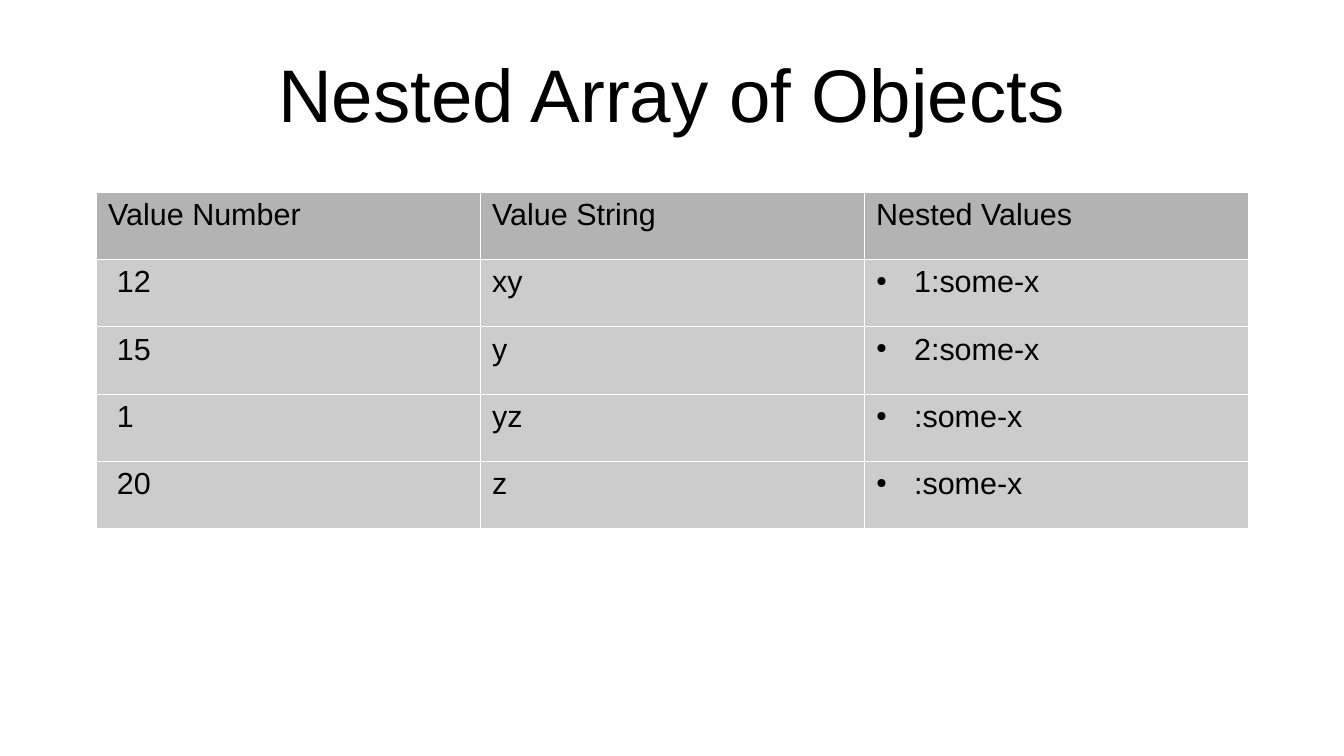
from lxml.etree import SubElement
from pptx import Presentation
from pptx.dml.color import RGBColor
from pptx.enum.text import MSO_ANCHOR, PP_ALIGN
from pptx.oxml.ns import qn
from pptx.util import Cm, Pt

TITLE = "Nested Array of Objects"
HEADERS = ("Value Number", "Value String", "Nested Values")
ROWS = [
    ("12", "xy", "1:some-x"),
    ("15", "y", "2:some-x"),
    ("1", "yz", ":some-x"),
    ("20", "z", ":some-x"),
]
COLORS = {"text": "000000", "header": "B3B3B3", "body": "CCCCCC", "border": "FFFFFF"}
FONT = "Arial"
NUMBER_INDENT, BULLET_INDENT = Cm(0.18), Cm(0.79)
NUMBER_COLUMN, NESTED_COLUMN = 0, 2

SLIDE_W, SLIDE_H = 28, 15.75
TITLE_W, TITLE_TOP, TITLE_H = 25.2, 0.63, 2.62
TABLE_W, TABLE_TOP, ROW_H = 24, 4, 1.4


def style_font(paragraph, size):
    font = paragraph.font
    font.name, font.size = FONT, Pt(size)
    font.color.rgb = RGBColor.from_string(COLORS["text"])


def add_bullet(paragraph):
    properties = paragraph._p.get_or_add_pPr()
    properties.set("marL", str(BULLET_INDENT))
    properties.set("indent", str(-BULLET_INDENT))
    color = SubElement(properties, qn("a:buClr"))
    SubElement(color, qn("a:srgbClr"), val=COLORS["text"])
    SubElement(properties, qn("a:buSzPct"), val="45000")
    SubElement(properties, qn("a:buChar"), char="●")


def add_borders(cell):
    properties = cell._tc.get_or_add_tcPr()
    for side in ("lnL", "lnR", "lnT", "lnB"):
        line = SubElement(properties, qn(f"a:{side}"), w=str(Pt(0.06)))
        fill = SubElement(line, qn("a:solidFill"))
        SubElement(fill, qn("a:srgbClr"), val=COLORS["border"])


def add_title(slide):
    title = slide.shapes.add_textbox(
        Cm((SLIDE_W - TITLE_W) / 2), Cm(TITLE_TOP), Cm(TITLE_W), Cm(TITLE_H)
    ).text_frame
    title.word_wrap = True
    title.vertical_anchor = MSO_ANCHOR.MIDDLE
    title.margin_left = title.margin_right = title.margin_top = title.margin_bottom = 0
    heading = title.paragraphs[0]
    heading.text = TITLE
    heading.alignment = PP_ALIGN.CENTER
    style_font(heading, 44)


def add_values(slide):
    records = [HEADERS, *ROWS]
    table = slide.shapes.add_table(
        len(records), len(HEADERS),
        Cm((SLIDE_W - TABLE_W) / 2), Cm(TABLE_TOP), Cm(TABLE_W), Cm(ROW_H * len(records)),
    ).table
    for row, record in enumerate(records):
        for column, value in enumerate(record):
            cell = table.cell(row, column)
            add_borders(cell)
            cell.fill.solid()
            cell.fill.fore_color.rgb = RGBColor.from_string(COLORS["body" if row else "header"])
            entry = cell.text_frame.paragraphs[0]
            entry.text = value
            if row and column == NUMBER_COLUMN:
                entry._p.get_or_add_pPr().set("marL", str(NUMBER_INDENT))
            elif row and column == NESTED_COLUMN:
                add_bullet(entry)
            style_font(entry, 18)


def main():
    deck = Presentation()
    deck.slide_width, deck.slide_height = Cm(SLIDE_W), Cm(SLIDE_H)
    slide = deck.slides.add_slide(deck.slide_layouts[6])
    add_title(slide)
    add_values(slide)
    deck.save("out.pptx")


if __name__ == "__main__":
    main()
